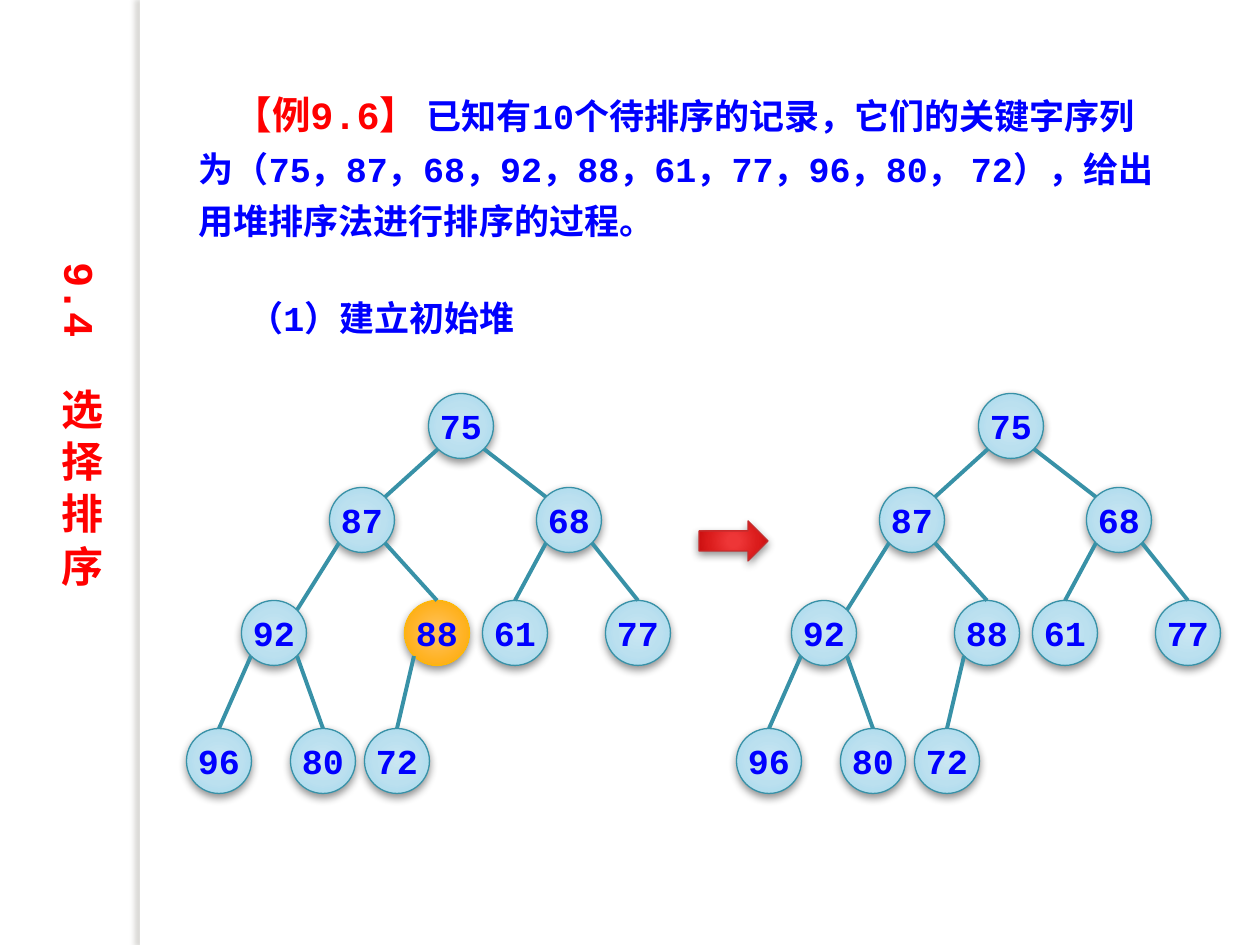
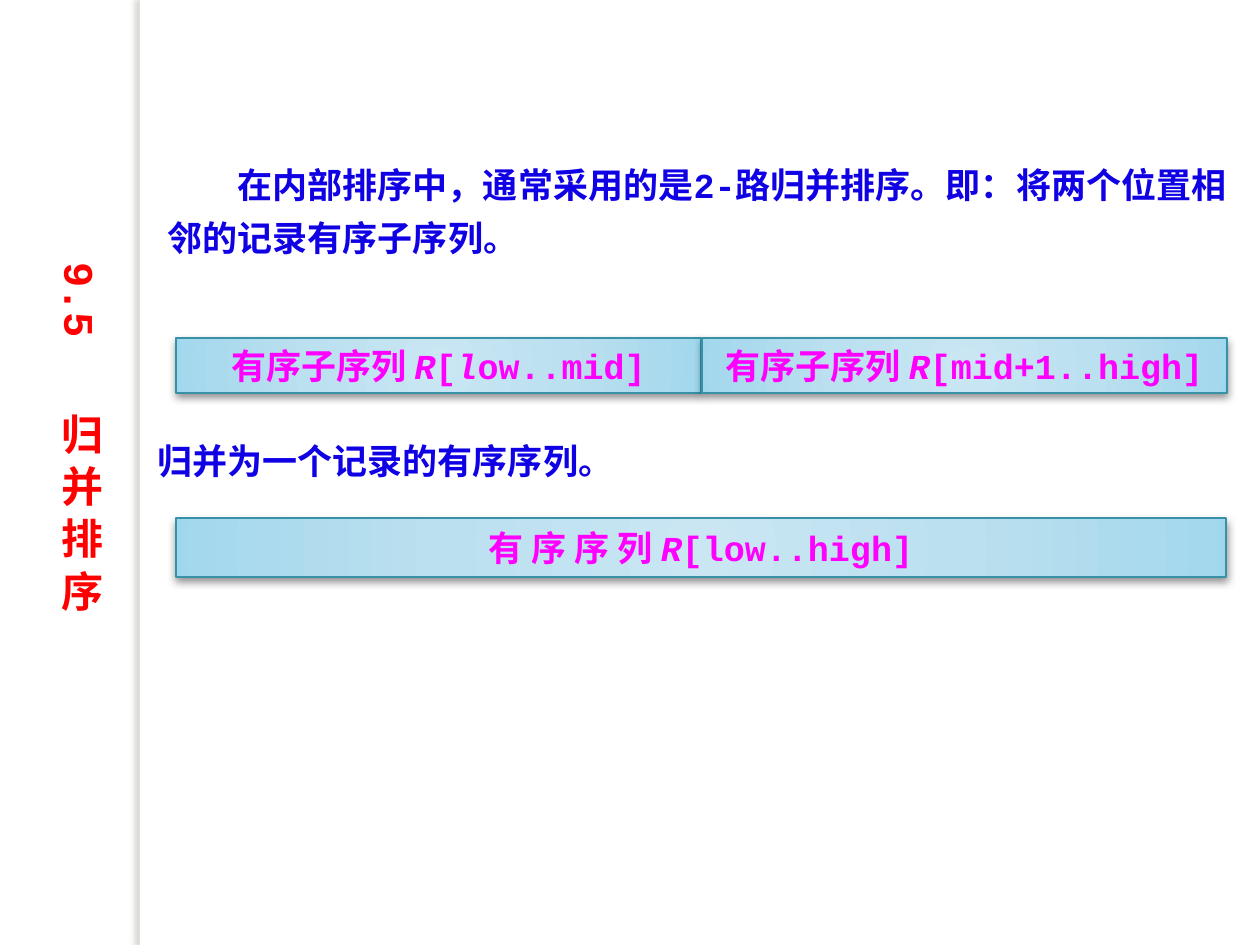
from lxml.etree import SubElement
from pptx import Presentation
from pptx.dml.color import RGBColor
from pptx.enum.shapes import MSO_CONNECTOR, MSO_SHAPE
from pptx.enum.text import MSO_ANCHOR as Anchor, MSO_AUTO_SIZE as AutoSize, PP_ALIGN as Align
from pptx.oxml import parse_xml
from pptx.oxml.ns import nsdecls, qn
from pptx.util import Emu, Pt

FONT = "Courier New"
RED, BLUE, INK, MAGENTA, TEAL = "FF0000", "0000FF", "1000E4", "FF00FF", "3891A7"

PALETTES = {
    "blue": (TEAL, [(0, "C9E6F2"), (50, "BBE0EF"), (97, "A4D8ED"), (100, "9BD7EE")]),
    "orange": ("FEB80A", [(0, "FFBF54"), (15, "FFBF53"), (62, "FFB221"), (97, "F6A500"), (100, "D69900")]),
    "red": ("C32D2E", [(0, "EF3737"), (15, "EE3637"), (62, "DB1C1C"), (97, "C70C0D"), (100, "C30001")]),
}

BAND = (140, 0, 10, 945)
TITLE_BOX = (42, 256, 77, 403)

HEAP_TITLE = ("9.4", "选 择 排 序", 14.4)
HEAP_BOX = (186, 78, 984, 171)
HEAP_TEXT = [
    ("【例9.6】 ", RED, 22),
    ("已知有10个待排序的记录，它们的关键字序列为（75，87，68，92，88，61，77，96，80， 72），"
     "给出用堆排序法进行排序的过程。", BLUE, 20),
]
STEP = ("（1）建立初始堆", (236, 290, 344, 55), BLUE)
KEYS = [75, 87, 68, 92, 88, 61, 77, 96, 80, 72]
LEVEL_Y = [426, 520, 633, 761]
NODE_X = [461, 362, 569, 274, 437, 515, 638, 219, 323, 397]
NODE_SIZE, DIAGONAL = 65, 23
TREES = [(0, 88), (550, None)]
ARROW_BOX = (699, 521, 69, 40)

MERGE_TITLE = ("9.5", "归 并 排 序", 28.8)
MERGE_BOX = (155, 147, 1105, 118)
MERGE_TEXT = [("在内部排序中，通常采用的是2-路归并排序。即：将两个位置相邻的记录有序子序列。", INK, 20)]
RESULT = ("归并为一个记录的有序序列。", (145, 433, 488, 55), INK)
SEQUENCES = [
    ((176, 518, 1050, 59), [("有 序 序 列 ", False), ("R", True), ("[low..high]", False)]),
    ((176, 338, 525, 55), [("有序子序列 ", False), ("R", True), ("[", False), ("l", True), ("ow..mid]", False)]),
    ((702, 338, 525, 55), [("有序子序列 ", False), ("R", True), ("[mid+1..high]", False)]),
]


def px(length):
    return Emu(round(length * 914400 / 126))


def box(lengths):
    return [px(length) for length in lengths]


def color(value):
    return RGBColor.from_string(value)


def add_run(paragraph, text, ink, size=20, italic=False):
    run = paragraph.add_run()
    run.text = text
    font = run.font
    font.name, font.size, font.bold, font.italic = FONT, Pt(size), True, italic
    font.color.rgb = color(ink)
    return run


def add_shadow(shape, ink, opacity, blur, distance, angle):
    shape.shadow.inherit = False
    effects = shape.element.spPr.find(qn("a:effectLst"))
    shadow = SubElement(effects, qn("a:outerShdw"), blurRad=str(Pt(blur)), dist=str(Pt(distance)),
                        dir=str(angle * 60000), algn="ctr", rotWithShape="0")
    tone = SubElement(shadow, qn("a:srgbClr"), val=ink)
    SubElement(tone, qn("a:alpha"), val=str(opacity * 1000))


def add_glossy(shapes, kind, place, palette):
    line, stops = PALETTES[palette]
    shape = shapes.add_shape(kind, *box(place))
    shape.line.color.rgb = color(line)
    shape.line.width = Pt(0.75)
    shape.fill.background()
    stop_xml = "".join(f'<a:gs pos="{position * 1000}"><a:srgbClr val="{ink}"/></a:gs>'
                       for position, ink in stops)
    gradient = parse_xml(
        f'<a:gradFill {nsdecls("a")} rotWithShape="1"><a:gsLst>{stop_xml}</a:gsLst><a:path path="circle">'
        '<a:fillToRect l="50000" t="50000" r="50000" b="50000"/></a:path></a:gradFill>')
    properties = shape.element.spPr
    properties.replace(properties.find(qn("a:noFill")), gradient)
    add_shadow(shape, "000000", 43, 5, 2, 90)
    return shape


def center_text(shape, parts, ink, side_inset):
    frame = shape.text_frame
    frame.margin_left = frame.margin_right = px(side_inset)
    frame.vertical_anchor = Anchor.MIDDLE
    paragraph = frame.paragraphs[0]
    paragraph.alignment = Align.CENTER
    for text, italic in parts:
        add_run(paragraph, text, ink, italic=italic)


def add_line(shapes, start, end):
    line = shapes.add_connector(MSO_CONNECTOR.STRAIGHT, *box(start + end))
    line.line.color.rgb = color(TEAL)
    line.line.width = Pt(2.25)
    SubElement(line.element.spPr, qn("a:effectLst"))


def place_placeholder(shape, place):
    shape.left, shape.top, shape.width, shape.height = box(place)
    frame = shape.text_frame
    frame.auto_size = AutoSize.NONE
    frame.vertical_anchor = Anchor.TOP
    return frame.paragraphs[0]


def add_slide(presentation, title, body_place, body, indent, spacing):
    slide = presentation.slides.add_slide(presentation.slide_layouts[1])
    number, heading, gap = title
    paragraph = place_placeholder(slide.shapes.title, TITLE_BOX)
    slide.shapes.title.element.txBody.bodyPr.set("vert", "eaVert")
    paragraph.alignment = Align.CENTER
    add_run(paragraph, number, RED, 24)
    space = add_run(paragraph, " ", RED, 24)
    space.font._element.set("spc", str(round(gap * 100)))
    add_run(paragraph, heading, RED, 24)

    paragraph = place_placeholder(slide.placeholders[1], body_place)
    paragraph.line_spacing = spacing
    paragraph.space_before = Pt(0)
    properties = paragraph._p.get_or_add_pPr()
    properties.set("marL", "0")
    properties.set("indent", str(px(indent)))
    SubElement(properties, qn("a:buNone"))
    for text, ink, size in body:
        add_run(paragraph, text, ink, size)
    return slide


def add_caption(slide, text, place, ink):
    caption = slide.shapes.add_textbox(*box(place))
    caption.text_frame.word_wrap = True
    add_run(caption.text_frame.paragraphs[0], text, ink)


def add_band(slide):
    band = slide.shapes.add_shape(MSO_SHAPE.RECTANGLE, *box(BAND))
    band.fill.solid()
    band.fill.fore_color.rgb = color("FFFFFF")
    band.line.fill.background()
    add_shadow(band, "736F63", 25, 3, 3, 180)
    band.element.xpath(".//p:cNvPr")[0].set("id", "20")
    slide.slide_layout.shapes.element.append(band.element)


def add_tree(slide, shift, highlighted):
    shapes = slide.shapes.add_group_shape().shapes
    centers = [(x + shift, LEVEL_Y[(index + 1).bit_length() - 1]) for index, x in enumerate(NODE_X)]
    radius = NODE_SIZE / 2
    for key, (x, y) in zip(KEYS, centers):
        place = (x - radius, y - radius, NODE_SIZE, NODE_SIZE)
        node = add_glossy(shapes, MSO_SHAPE.OVAL, place, "orange" if key == highlighted else "blue")
        center_text(node, [(str(key), False)], BLUE, 0)
    for child in range(1, len(KEYS)):
        side = -DIAGONAL if child % 2 else DIAGONAL
        parent_x, parent_y = centers[(child - 1) // 2]
        x, y = centers[child]
        end = (x - side, y - DIAGONAL) if child <= 3 else (x, y - radius)
        add_line(shapes, (parent_x + side, parent_y + DIAGONAL), end)


def main():
    presentation = Presentation()
    presentation.slide_width, presentation.slide_height = px(1260), px(945)

    heap = add_slide(presentation, HEAP_TITLE, HEAP_BOX, HEAP_TEXT, 35, Pt(30))
    add_band(heap)
    add_caption(heap, *STEP)
    for shift, highlighted in TREES:
        add_tree(heap, shift, highlighted)
    add_glossy(heap.shapes, MSO_SHAPE.RIGHT_ARROW, ARROW_BOX, "red")

    merge = add_slide(presentation, MERGE_TITLE, MERGE_BOX, MERGE_TEXT, 70, 1.25)
    add_caption(merge, *RESULT)
    for place, parts in SEQUENCES:
        center_text(add_glossy(merge.shapes, MSO_SHAPE.RECTANGLE, place, "blue"), parts, MAGENTA, 12)

    presentation.save("out.pptx")


if __name__ == "__main__":
    main()
